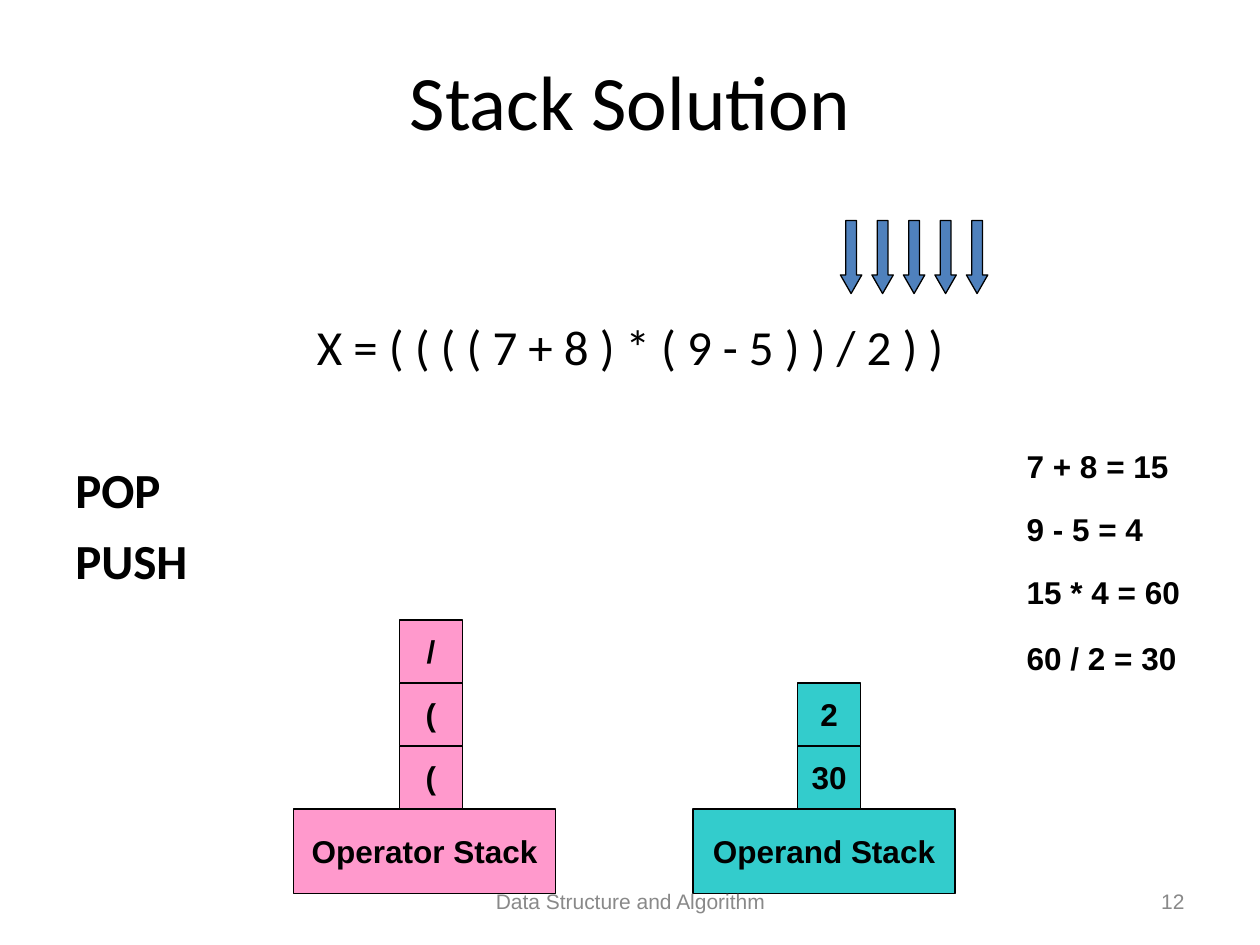
import pptx
import pptx.util
import pptx.dml.color
import pptx.enum.shapes
import pptx.enum.text

Inches = pptx.util.Inches
Pt = pptx.util.Pt
RGB = pptx.dml.color.RGBColor
KIND = pptx.enum.shapes.MSO_SHAPE
ALIGN = pptx.enum.text.PP_ALIGN
ANCHOR = pptx.enum.text.MSO_ANCHOR

BLACK = RGB(0x00, 0x00, 0x00)
GRAY = RGB(0x89, 0x89, 0x89)
PINK = RGB(0xFF, 0x99, 0xCC)
TEAL = RGB(0x33, 0xCC, 0xCC)
BLUE = RGB(0x4F, 0x81, 0xBD)


def write(frame, text, size=18, font="Arial", color=BLACK, bold=False,
          align=ALIGN.LEFT, anchor=ANCHOR.TOP, wrap=True, before=0, new=False):
    """Write one formatted paragraph into a text frame."""
    frame.word_wrap = wrap
    frame.vertical_anchor = anchor
    para = frame.add_paragraph() if new else frame.paragraphs[0]
    para.alignment = align
    para.space_before = Pt(before)
    run = para.add_run()
    run.text = text
    run.font.size = Pt(size)
    run.font.name = font
    run.font.bold = bold
    run.font.color.rgb = color


def draw(kind, left, top, width, height, fill):
    """Add a filled shape with a thin black line."""
    shape = slide.shapes.add_shape(
        kind, Inches(left), Inches(top), Inches(width), Inches(height))
    shape.shadow.inherit = False
    shape.fill.solid()
    shape.fill.fore_color.rgb = fill
    shape.line.color.rgb = BLACK
    shape.line.width = Pt(0.75)
    return shape


deck = pptx.Presentation()
deck.slide_width = Inches(10)
deck.slide_height = Inches(7.5)
slide = deck.slides.add_slide(deck.slide_layouts[5])

# Title
title = slide.shapes.title
title.left, title.top = Inches(0.5), Inches(0.17)
title.width, title.height = Inches(9), Inches(1.25)
write(title.text_frame, "Stack Solution", size=44, font="Calibri",
      align=ALIGN.CENTER, anchor=ANCHOR.MIDDLE)

# Expression and stack actions
body = slide.shapes.add_textbox(
    Inches(0.5), Inches(1.88), Inches(9), Inches(4.96)).text_frame
body.margin_top = Inches(0.63)
write(body, "X = ( ( ( ( 7 + 8 ) * ( 9 - 5 ) ) / 2 ) )", size=28,
      font="Calibri", align=ALIGN.CENTER)
for word, gap in (("POP", 48), ("PUSH", 7)):
    write(body, word, size=28, font="Calibri", bold=True, before=gap, new=True)

# Stacks, each listed from the bottom up
stacks = (
    ("Operand Stack", 5.5, 6.33, TEAL, ("30", "2")),
    ("Operator Stack", 2.33, 3.17, PINK, ("(", "(", "/")),
)
cell = 0.5
base = 6.42
for name, left, mid, fill, items in stacks:
    boxes = [(name, left, base, 2.08, 0.67)]
    for i, item in enumerate(items, 1):
        boxes.append((item, mid, base - i * cell, cell, cell))
    for text, *place in boxes:
        box = draw(KIND.RECTANGLE, *place, fill)
        write(box.text_frame, text, bold=True, align=ALIGN.CENTER,
              anchor=ANCHOR.MIDDLE, wrap=False)

# Arrows over the tokens being read
for i in range(5):
    arrow = draw(KIND.DOWN_ARROW, 6.67 + 0.25 * i, 1.75, 0.17, 0.58, BLUE)
    arrow.adjustments[0] = 0.5
    arrow.adjustments[1] = 0.87

# Evaluation steps
steps = (("7 + 8 = 15", 3.5, 1.37), ("9 - 5 = 4", 4, 1.37),
         ("15 * 4 = 60", 4.5, 1.54), ("60 / 2 = 30", 5.02, 1.54))
for text, top, width in steps:
    step = slide.shapes.add_textbox(
        Inches(8.05), Inches(top), Inches(width), Inches(0.4))
    write(step.text_frame, text, bold=True, wrap=False)

# Footer and slide number
feet = (("12", 7.17, 2.33, ALIGN.RIGHT),
        ("Data Structure and Algorithm", 3.42, 3.17, ALIGN.CENTER))
for text, left, width, align in feet:
    foot = slide.shapes.add_textbox(
        Inches(left), Inches(6.95), Inches(width), Inches(0.4))
    write(foot.text_frame, text, size=12, color=GRAY, align=align,
          anchor=ANCHOR.MIDDLE)

deck.save("out.pptx")
